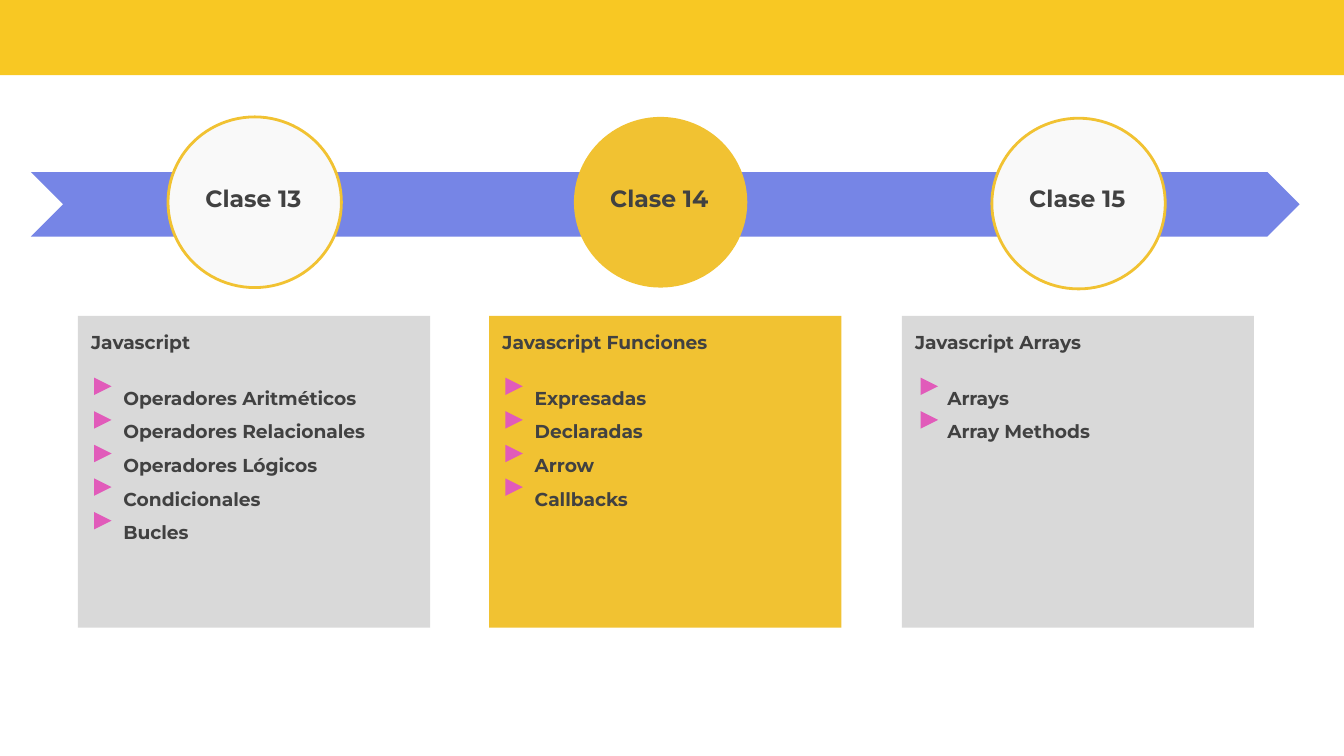
from dataclasses import dataclass

from pptx import Presentation
from pptx.dml.color import RGBColor
from pptx.enum.shapes import MSO_SHAPE
from pptx.enum.text import MSO_ANCHOR, PP_ALIGN
from pptx.util import Inches, Pt

CHEVRON = MSO_SHAPE.CHEVRON
ELLIPSE = MSO_SHAPE.OVAL
RECTANGLE = MSO_SHAPE.RECTANGLE
TRIANGLE = MSO_SHAPE.ISOSCELES_TRIANGLE
TOP = MSO_ANCHOR.TOP
LEFT, CENTER = PP_ALIGN.LEFT, PP_ALIGN.CENTER


@dataclass(frozen=True)
class Theme:
    font: str = "Montserrat"
    label_size: float = 12.6
    body_size: float = 10
    text: str = "414141"
    header: str = "F8C823"
    arrow: str = "7685E6"
    active: str = "F1C232"
    pale: str = "F9F9F9"
    card: str = "D9D9D9"
    marker: str = "E15BBA"


@dataclass(frozen=True)
class Lesson:
    label: str
    heading: str
    topics: tuple
    circle_left: float
    circle_top: float
    card_left: float
    marker_left: float
    active: bool = False


LESSONS = (
    Lesson("Clase 13", "Javascript",
           ("Operadores Aritméticos", "Operadores Relacionales",
            "Operadores Lógicos", "Condicionales", "Bucles"),
           1.25, 0.87, 0.58, 0.7),
    Lesson("Clase 14", "Javascript Funciones",
           ("Expresadas", "Declaradas", "Arrow", "Callbacks"),
           4.27, 0.87, 3.64, 3.76, active=True),
    Lesson("Clase 15", "Javascript Arrays", ("Arrays", "Array Methods"),
           7.38, 0.88, 6.71, 6.85),
)
CARD_TOP, CARD_WIDTH, CARD_HEIGHT = 2.35, 2.62, 2.32
MARKER_TOP, MARKER_PITCH, MARKER_SIZE = 2.81, 0.25, 0.13
TOPIC_INDENT = 0.24


def write_text(paragraph, text, *, theme, size, align=LEFT, spacing=1.0,
               before=0, indent=0):
    paragraph.text = text
    paragraph.alignment = align
    paragraph.line_spacing = spacing
    if before:
        paragraph.space_before = Pt(before)
    if indent:
        properties = paragraph._p.get_or_add_pPr()
        properties.set("marL", str(Inches(indent)))
        properties.set("indent", "0")
    font = paragraph.font
    font.name = theme.font
    font.size = Pt(size)
    font.bold = True
    font.color.rgb = RGBColor.from_string(theme.text)


class SlideBuilder:
    def __init__(self, slide, theme):
        self.slide = slide
        self.theme = theme

    def shape(self, kind, left, top, width, height, fill, outline=None, rotation=0):
        shape = self.slide.shapes.add_shape(
            kind, Inches(left), Inches(top), Inches(width), Inches(height))
        shape.shadow.inherit = False
        shape.rotation = rotation
        shape.fill.solid()
        shape.fill.fore_color.rgb = RGBColor.from_string(fill)
        if outline:
            shape.line.color.rgb = RGBColor.from_string(outline)
            shape.line.width = Pt(1.5)
        else:
            shape.line.fill.background()
        return shape

    def text_frame(self, left, top, width, height):
        """Add a wrapping text box with equal insets and return its frame."""
        box = self.slide.shapes.add_textbox(
            Inches(left), Inches(top), Inches(width), Inches(height))
        frame = box.text_frame
        frame.word_wrap = True
        frame.vertical_anchor = TOP
        frame.margin_left = frame.margin_right = Inches(0.1)
        frame.margin_top = frame.margin_bottom = Inches(0.1)
        return frame

    def milestone(self, lesson):
        theme = self.theme
        self.shape(ELLIPSE, lesson.circle_left, lesson.circle_top, 1.29, 1.27,
                   theme.active if lesson.active else theme.pale,
                   outline=None if lesson.active else theme.active)
        frame = self.text_frame(lesson.circle_left + 0.04, 1.27, 1.19, 0.33)
        write_text(frame.paragraphs[0], lesson.label, theme=theme,
                   size=theme.label_size, align=CENTER)

    def card(self, lesson):
        theme = self.theme
        self.shape(RECTANGLE, lesson.card_left, CARD_TOP, CARD_WIDTH, CARD_HEIGHT,
                   theme.active if lesson.active else theme.card)
        frame = self.text_frame(lesson.card_left, CARD_TOP + 0.01,
                                CARD_WIDTH, CARD_HEIGHT)
        write_text(frame.paragraphs[0], lesson.heading, theme=theme,
                   size=theme.body_size)
        for index, topic in enumerate(lesson.topics):
            write_text(frame.add_paragraph(), topic, theme=theme,
                       size=theme.body_size, spacing=1.5,
                       before=0 if index else 12, indent=TOPIC_INDENT)
            self.shape(TRIANGLE, lesson.marker_left,
                       MARKER_TOP + index * MARKER_PITCH,
                       MARKER_SIZE, MARKER_SIZE, theme.marker, rotation=90)


def main():
    presentation = Presentation()
    presentation.slide_width = Inches(10)
    presentation.slide_height = Inches(10) * 9 // 16
    slide = presentation.slides.add_slide(presentation.slide_layouts[6])
    theme = Theme()
    builder = SlideBuilder(slide, theme)

    builder.shape(CHEVRON, 0.23, 1.28, 9.44, 0.48, theme.arrow)
    builder.shape(RECTANGLE, -0.01, -0.05, 10.03, 0.61, theme.header)
    for lesson in LESSONS:
        builder.milestone(lesson)
        builder.card(lesson)

    presentation.save("out.pptx")


if __name__ == "__main__":
    main()
